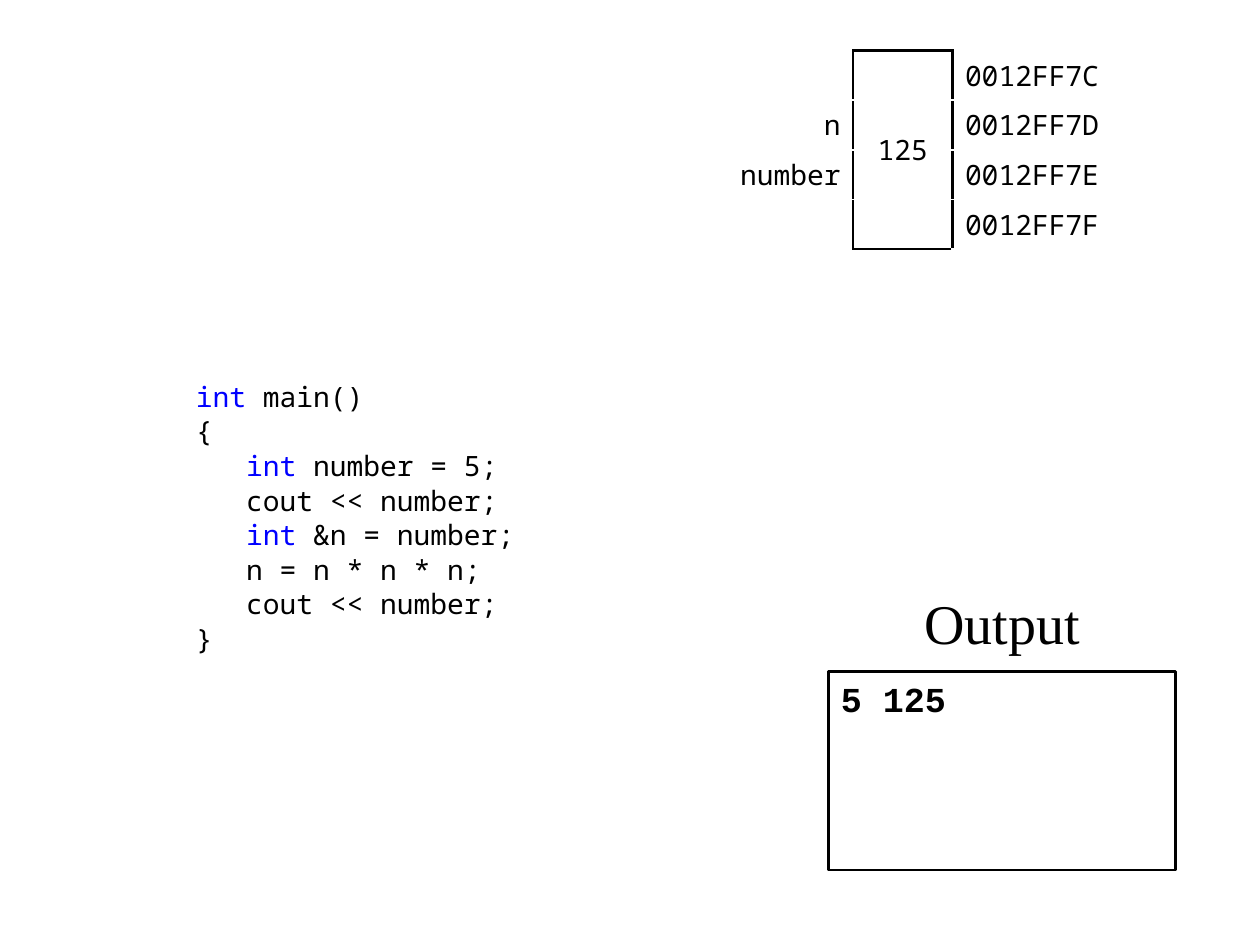
from dataclasses import dataclass
from typing import NamedTuple

from lxml.etree import SubElement
from pptx import Presentation
from pptx.dml.color import RGBColor
from pptx.enum.shapes import MSO_SHAPE as Shape
from pptx.enum.text import MSO_ANCHOR as Anchor, PP_ALIGN as Align
from pptx.oxml.ns import qn
from pptx.util import Cm, Inches, Pt


@dataclass(frozen=True)
class Theme:
    ink: str = "000000"
    paper: str = "FFFFFF"
    keyword: str = "0000FF"
    code_font: str = "Noto Sans Mono"
    console_font: str = "Courier New"
    heading_font: str = "Times New Roman"
    code_size: int = 16
    console_size: int = 20
    heading_size: int = 32
    line_width: float = 1.5


class Area(NamedTuple):
    """A block of the slide, in columns and rows of a 1 cm grid."""
    column: float
    row: float
    columns: float
    rows: float

    def lengths(self):
        return [Cm(value) for value in self]


class MemoryByte(NamedTuple):
    variable: str
    address: str


THEME = Theme()
KEYWORD = "int"
CODE = """int main()
{
   int number = 5;
   cout << number;
   int &n = number;
   n = n * n * n;
   cout << number;
}"""
MEMORY = [
    MemoryByte("", "0012FF7C"),
    MemoryByte("n", "0012FF7D"),
    MemoryByte("number", "0012FF7E"),
    MemoryByte("", "0012FF7F"),
]
STORED_VALUE = "125"
MEMORY_COLUMNS = (3, 2, 4)

CODE_AREA = Area(3.7, 7.52, 8.5, 8.5)
MEMORY_AREA = Area(14.2, 1.02, sum(MEMORY_COLUMNS), len(MEMORY))
CONSOLE_AREA = Area(16.7, 13.54, 7, 4)
HEADING_AREA = Area(18.2, 11.54, 4, 2)


def style(font, name: str, size: int, bold: bool = False) -> None:
    font.name, font.size, font.bold = name, Pt(size), bold
    font.color.rgb = RGBColor.from_string(THEME.ink)


def draw_code(slide, area: Area, code: str) -> None:
    frame = slide.shapes.add_textbox(*area.lengths()).text_frame
    frame.word_wrap = True
    for number, line in enumerate(code.splitlines()):
        paragraph = frame.add_paragraph() if number else frame.paragraphs[0]
        if number:
            paragraph.space_before = Pt(0.6)
        style(paragraph.font, THEME.code_font, THEME.code_size)
        before, keyword, after = line.rpartition(KEYWORD)
        for part in filter(None, (before, keyword, after)):
            run = paragraph.add_run()
            run.text = part
            if part == KEYWORD:
                run.font.color.rgb = RGBColor.from_string(THEME.keyword)


def draw_borders(cell, sides: str) -> None:
    properties = cell._tc.get_or_add_tcPr()
    for side in sides:
        line = SubElement(properties, qn(f"a:ln{side}"), w=str(Pt(THEME.line_width)))
        fill = SubElement(line, qn("a:solidFill"))
        SubElement(fill, qn("a:srgbClr"), val=THEME.ink)


def write_cell(cell, text: str, align: Align, left: float = 0.1) -> None:
    cell.vertical_anchor = Anchor.MIDDLE
    cell.margin_left, cell.margin_right = Inches(left), Inches(0.1)
    cell.margin_top = cell.margin_bottom = Inches(0.02)
    paragraph = cell.text_frame.paragraphs[0]
    paragraph.text, paragraph.alignment = text, align
    style(paragraph.font, THEME.code_font, THEME.code_size)


def draw_memory(slide, area: Area, memory: list[MemoryByte]) -> None:
    table = slide.shapes.add_table(len(memory), len(MEMORY_COLUMNS), *area.lengths()).table
    table.first_row = table.horz_banding = False
    for column, width in zip(table.columns, MEMORY_COLUMNS):
        column.width = Cm(width)
    last = len(memory) - 1
    for row, byte in enumerate(memory):
        name, value, address = (table.cell(row, column) for column in range(3))
        write_cell(name, byte.variable, Align.RIGHT, left=0.08)
        write_cell(value, "" if row else STORED_VALUE, Align.CENTER)
        write_cell(address, byte.address, Align.LEFT)
        # Only the stored value is framed
        draw_borders(name, "R")
        draw_borders(value, "LR" + "T" * (row == 0) + "B" * (row in (0, last)))
        draw_borders(address, "L")
        for cell in (name, value, address):
            cell.fill.background()
    table.cell(0, 1).merge(table.cell(last, 1))


def draw_console(slide, area: Area, text: str) -> None:
    console = slide.shapes.add_shape(Shape.RECTANGLE, *area.lengths())
    console.shadow.inherit = False
    console.fill.solid()
    console.fill.fore_color.rgb = RGBColor.from_string(THEME.paper)
    console.line.color.rgb = RGBColor.from_string(THEME.ink)
    console.line.width = Pt(THEME.line_width)
    console.text_frame.vertical_anchor = Anchor.TOP
    printed = console.text_frame.paragraphs[0]
    printed.text, printed.alignment = text, Align.LEFT
    style(printed.font, THEME.console_font, THEME.console_size, bold=True)


def draw_heading(slide, area: Area, text: str) -> None:
    frame = slide.shapes.add_textbox(*area.lengths()).text_frame
    frame.word_wrap = False
    frame.vertical_anchor = Anchor.MIDDLE
    heading = frame.paragraphs[0]
    heading.text, heading.alignment = text, Align.CENTER
    style(heading.font, THEME.heading_font, THEME.heading_size)


def main() -> None:
    deck = Presentation()
    deck.slide_width, deck.slide_height = Inches(10), Inches(7.5)
    slide = deck.slides.add_slide(deck.slide_layouts[6])

    # Program and the memory it uses
    draw_code(slide, CODE_AREA, CODE)
    draw_memory(slide, MEMORY_AREA, MEMORY)

    # What the program prints
    draw_console(slide, CONSOLE_AREA, "5 125")
    draw_heading(slide, HEADING_AREA, "Output")

    deck.save("out.pptx")


if __name__ == "__main__":
    main()
